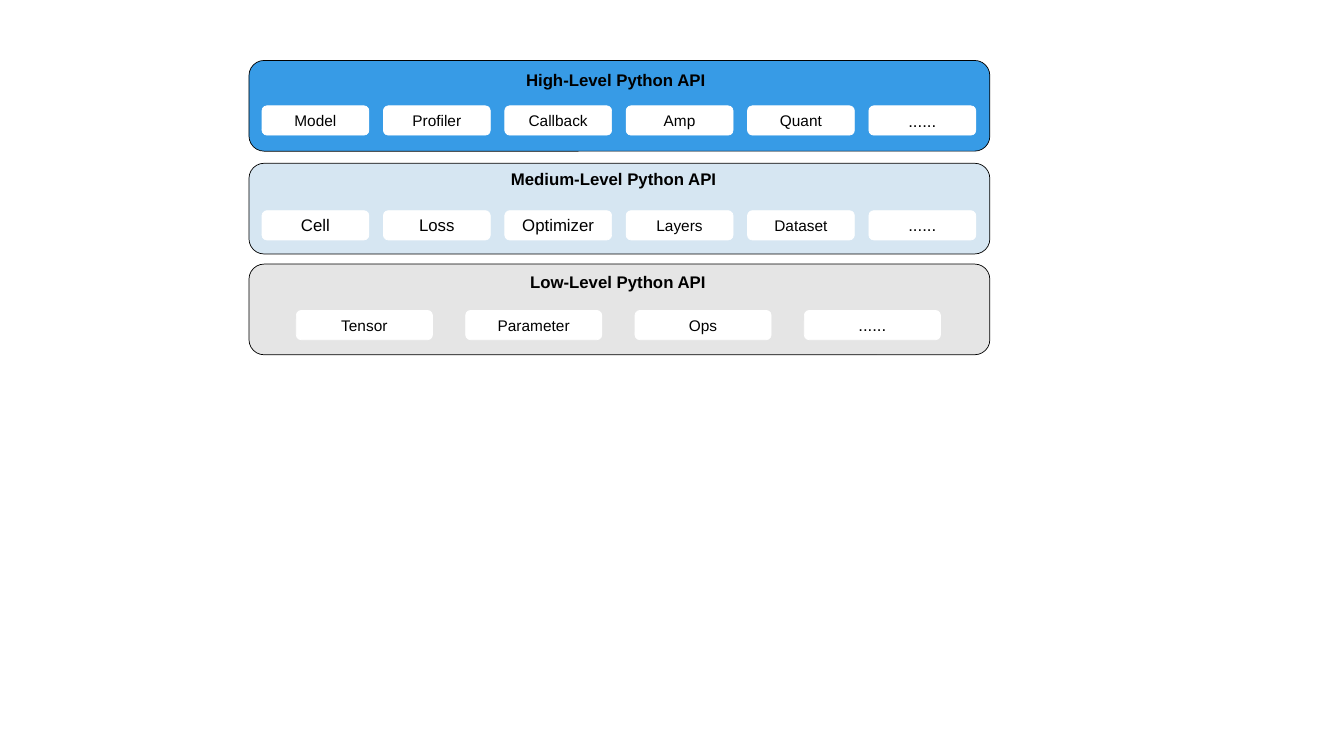
from pptx import Presentation
from pptx.dml.color import RGBColor
from pptx.enum.shapes import MSO_SHAPE
from pptx.enum.text import MSO_ANCHOR, PP_ALIGN
from pptx.util import Pt

ROUND = MSO_SHAPE.ROUNDED_RECTANGLE
MIDDLE = MSO_ANCHOR.MIDDLE
CENTER = PP_ALIGN.CENTER

HUES = {"high": "379BE6", "mid": "D6E6F2", "low": "E5E5E5",
        "chip": "FFFFFF", "ink": "000000"}
LEFT, WIDTH, HEIGHT = 177.84, 529.2, 64.8
CHIP_H = 20.88
DOTS = "......"


def color(name):
    """Return the named colour."""
    return RGBColor.from_string(HUES[name])


def write(frame, text, size, bold=False):
    """Put one line of text in a frame and return its paragraph."""
    frame.word_wrap = True
    para = frame.paragraphs[0]
    para.text = text
    font = para.font
    font.name, font.size, font.bold = "Arial", Pt(size), bold
    font.color.rgb = color("ink")
    return para


def box(slide, left, top, width, height, fill, line):
    """Draw a rounded box with a thin outline."""
    shape = slide.shapes.add_shape(
        ROUND, Pt(left), Pt(top), Pt(width), Pt(height))
    shape.shadow.inherit = False
    shape.fill.solid()
    shape.fill.fore_color.rgb = color(fill)
    shape.line.color.rgb = color(line)
    shape.line.width = Pt(0.5)
    return shape


def chip(slide, left, top, width, text, size):
    """Draw one white label box."""
    shape = box(slide, left, top, width, CHIP_H, "chip", "chip")
    shape.text_frame.vertical_anchor = MIDDLE
    write(shape.text_frame, text, size).alignment = CENTER


def layer(slide, top, fill, title, head, row, chips):
    """Draw one API layer with its heading and an even row of chips."""
    box(slide, LEFT, top, WIDTH, HEIGHT, fill, "ink")
    dx, dy, width = head
    label = slide.shapes.add_textbox(
        Pt(LEFT + dx), Pt(top + dy), Pt(width), Pt(21.6))
    write(label.text_frame, title, 12, True)
    dx, dy, width, step = row
    for i, (text, size) in enumerate(chips):
        chip(slide, LEFT + dx + i * step, top + dy, width, text, size)


def main():
    """Build the slide and save it."""
    deck = Presentation()
    deck.slide_width, deck.slide_height = Pt(960), Pt(540)
    slide = deck.slides.add_slide(deck.slide_layouts[6])
    layer(slide, 43.2, "high", "High-Level Python API",
          (190.8, 2.88, 147.6), (9.36, 32.4, 76.32, 86.7),
          [("Model", 11), ("Profiler", 11), ("Callback", 11),
           ("Amp", 11), ("Quant", 11), (DOTS, 12)])
    layer(slide, 116.64, "mid", "Medium-Level Python API",
          (180, 0, 169.92), (9.36, 33.84, 76.32, 86.7),
          [("Cell", 12), ("Loss", 12), ("Optimizer", 12),
           ("Layers", 11), ("Dataset", 11), (DOTS, 12)])
    layer(slide, 188.64, "low", "Low-Level Python API",
          (193.68, 2.16, 147.6), (33.84, 33.12, 97.2, 120.96),
          [("Tensor", 11), ("Parameter", 11), ("Ops", 11), (DOTS, 12)])
    deck.save("out.pptx")


main()
